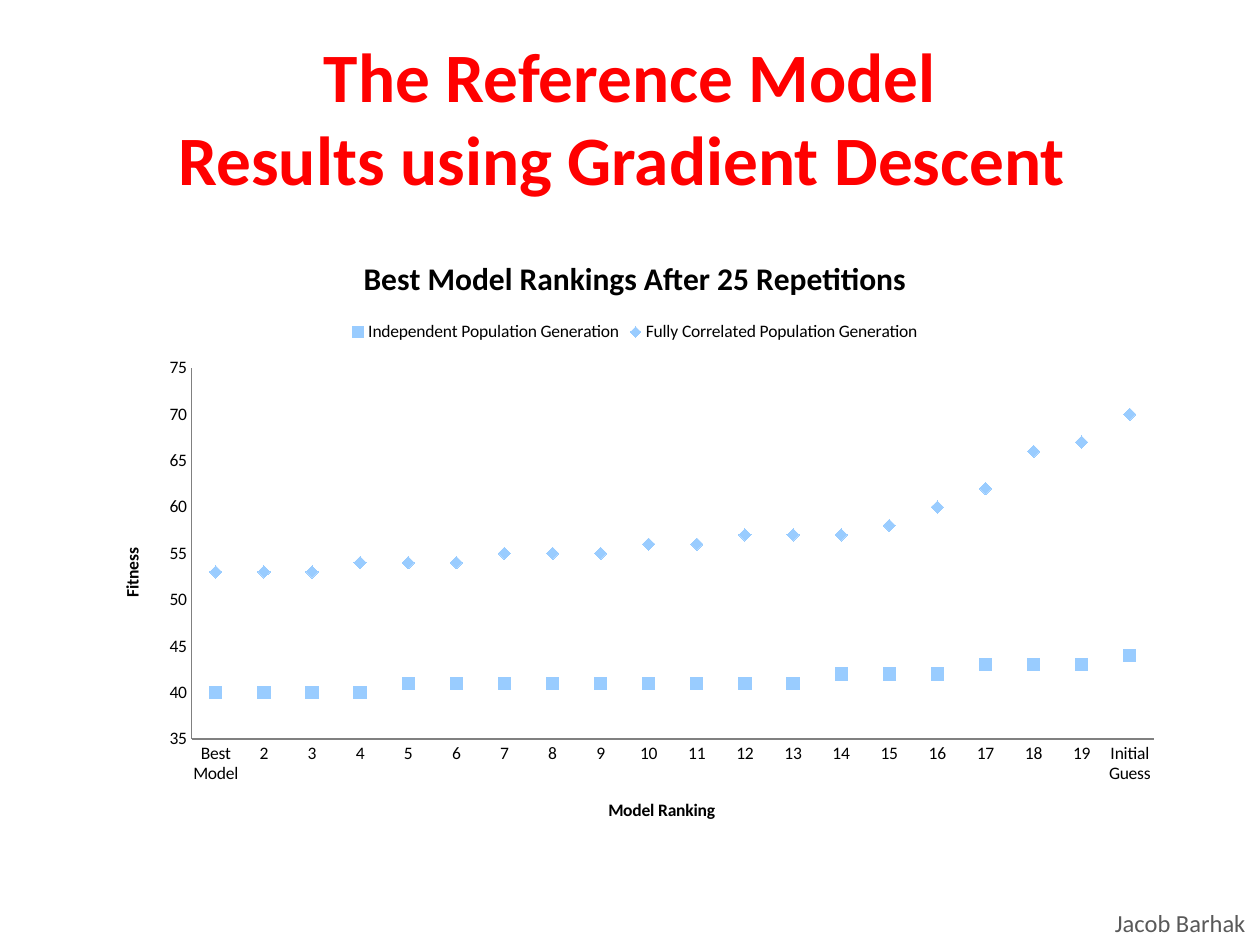
import pptx
import pptx.util
import pptx.chart.data
import pptx.dml.color
import pptx.enum.chart
import pptx.enum.text
import pptx.oxml
from pptx.util import Inches, Pt

FONT = "Calibri"
COLORS = {"title": "FF0000", "text": "000000", "author": "595959",
          "marker": "99CCFF", "axis": "808080"}
TITLE = "The Reference Model\vResults using Gradient Descent "
AUTHOR = "Jacob Barhak"
CHART_TITLE = "Best Model Rankings After 25 Repetitions"
AXIS_TITLES = {"category": "Model Ranking", "value": "Fitness "}
CATEGORIES = ["Best Model", *map(str, range(2, 20)), "Initial Guess"]
MARKERS = pptx.enum.chart.XL_MARKER_STYLE
SERIES = [
    ("Independent Population Generation", MARKERS.SQUARE,
     [40, 40, 40, 40, 41, 41, 41, 41, 41, 41, 41, 41, 41, 42, 42, 42, 43, 43, 43, 44]),
    ("Fully Correlated Population Generation", MARKERS.DIAMOND,
     [53, 53, 53, 54, 54, 54, 55, 55, 55, 56, 56, 57, 57, 57, 58, 60, 62, 66, 67, 70]),
]
PLOT_LAYOUT = {"x": 0.09, "y": 0.22, "w": 0.89, "h": 0.6}


def rgb(name):
    return pptx.dml.color.RGBColor.from_string(COLORS[name])


def style(font, size, color="text", bold=False):
    font.name = FONT
    font.size = Pt(size)
    font.bold = bold
    font.color.rgb = rgb(color)


def add_text(slide, text, box, size, color, bold=False, wrap=True):
    tf = slide.shapes.add_textbox(*map(Inches, box)).text_frame
    tf.word_wrap = wrap
    tf.text = text
    for r in tf.paragraphs[0].runs:
        style(r.font, size, color, bold)
    return tf


def set_title(owner, text, size):
    tf = (owner.chart_title if hasattr(owner, "chart_title") else owner.axis_title).text_frame
    tf.text = text
    style(tf.paragraphs[0].runs[0].font, size, bold=True)


def set_plot_layout(chart):
    area = chart.plots[0]._element.getparent()
    for old in area.findall(pptx.oxml.ns.qn("c:layout")):
        area.remove(old)
    parts = "".join(f'<c:{k} val="{v}"/>' for k, v in PLOT_LAYOUT.items())
    area.insert(0, pptx.oxml.parse_xml(
        f'<c:layout {pptx.oxml.ns.nsdecls("c")}><c:manualLayout>'
        '<c:layoutTarget val="inner"/><c:xMode val="edge"/><c:yMode val="edge"/>'
        f'{parts}</c:manualLayout></c:layout>'))


def add_rankings(slide):
    data = pptx.chart.data.CategoryChartData(number_format="0")
    data.categories = CATEGORIES
    for name, _, values in SERIES:
        data.add_series(name, values)
    chart = slide.shapes.add_chart(
        pptx.enum.chart.XL_CHART_TYPE.LINE_MARKERS,
        *map(Inches, (0.75, 1.84, 8.58, 4.91)), data).chart
    style(chart.font, 10)
    set_title(chart, CHART_TITLE, 18)
    chart.has_legend = True
    chart.legend.position = pptx.enum.chart.XL_LEGEND_POSITION.TOP
    chart.legend.include_in_layout = False
    style(chart.legend.font, 10)

    for key, axis in (("category", chart.category_axis), ("value", chart.value_axis)):
        set_title(axis, AXIS_TITLES[key], 10)
        axis.has_major_gridlines = False
        axis.major_tick_mark = pptx.enum.chart.XL_TICK_MARK.NONE
        axis.format.line.color.rgb = rgb("axis")
        style(axis.tick_labels.font, 10)
    chart.value_axis.minimum_scale = 35
    chart.value_axis.maximum_scale = 75
    chart.value_axis.major_unit = 5

    chart.plots[0].vary_by_categories = False
    for series, (_, marker, _) in zip(chart.plots[0].series, SERIES):
        series.smooth = False
        series.format.line.fill.background()
        series.marker.style = marker
        series.marker.size = 7
        series.marker.format.fill.solid()
        series.marker.format.fill.fore_color.rgb = rgb("marker")
        series.marker.format.line.fill.background()
    set_plot_layout(chart)


def main():
    prs = pptx.Presentation()
    prs.slide_width, prs.slide_height = Inches(10), Inches(7.5)
    s = prs.slides.add_slide(prs.slide_layouts[6])
    add_text(s, AUTHOR, (8.75, 7.16, 1.25, 0.34), 14, "author", wrap=False)
    tf = add_text(s, TITLE, (0.5, 0.3, 9, 1.25), 39.6, "title", bold=True)
    tf.vertical_anchor = pptx.enum.text.MSO_ANCHOR.MIDDLE
    tf.paragraphs[0].alignment = pptx.enum.text.PP_ALIGN.CENTER
    add_rankings(s)
    prs.save("out.pptx")


if __name__ == "__main__":
    main()
